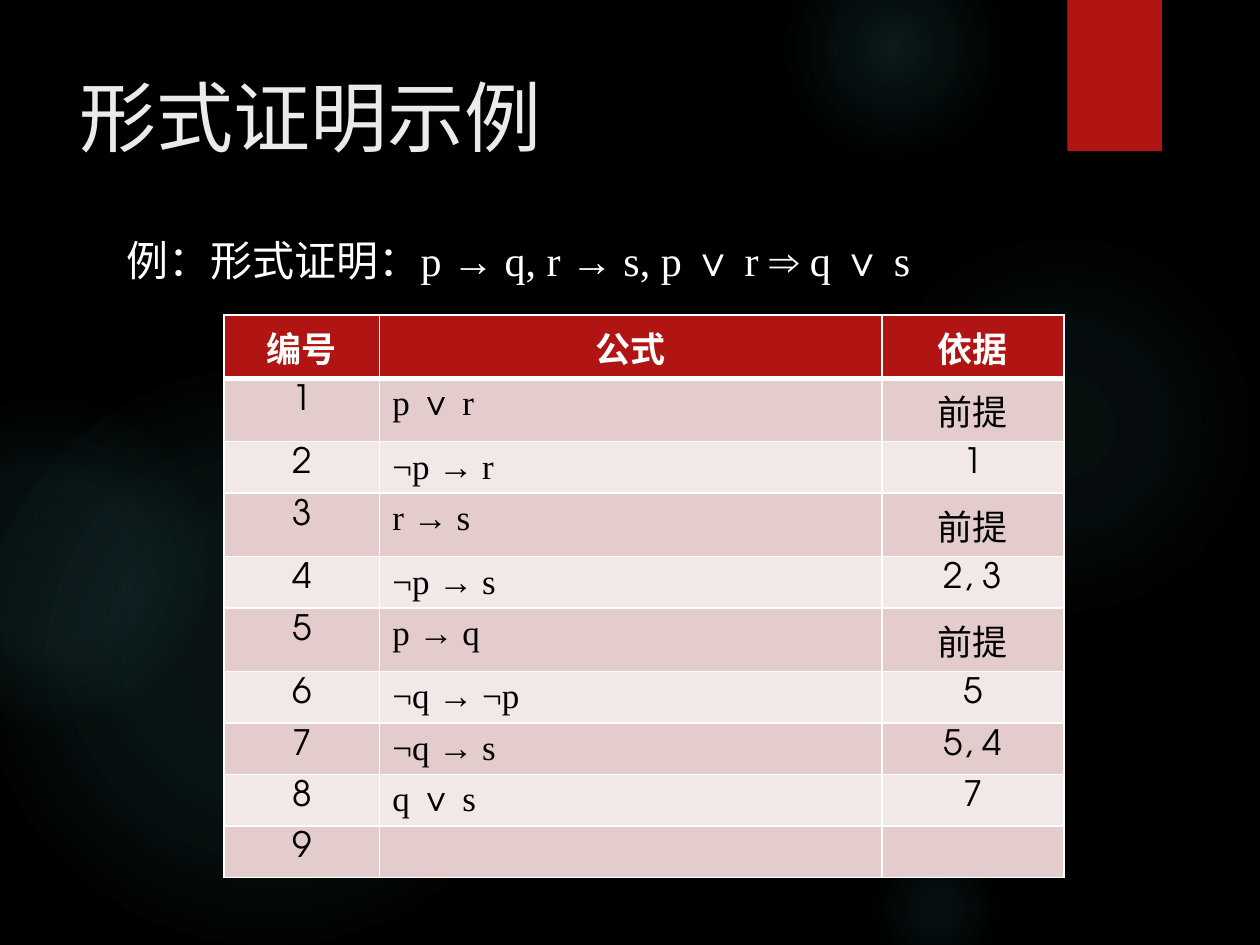
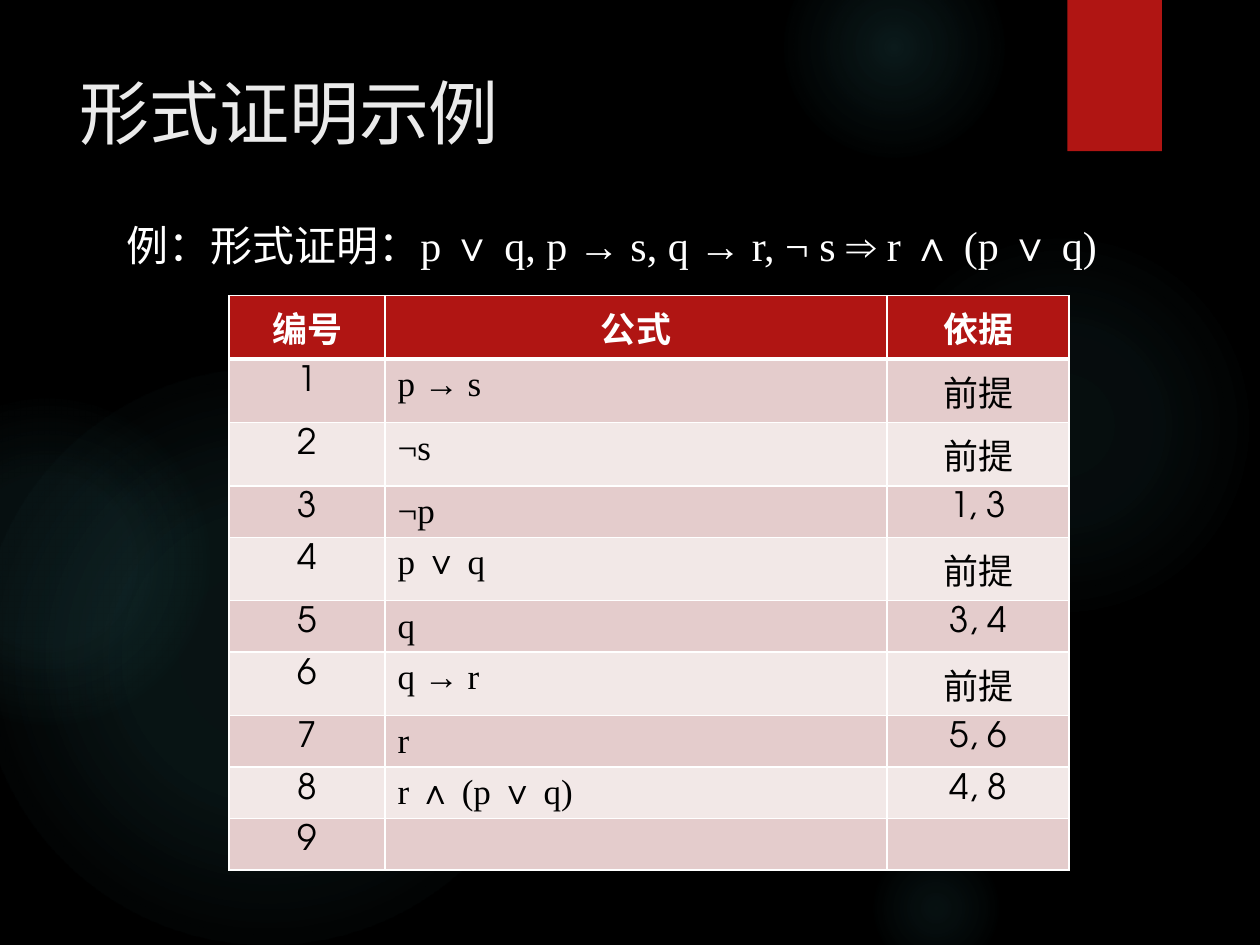
from dataclasses import dataclass

from lxml import etree
from pptx import Presentation
from pptx.dml.color import RGBColor
from pptx.enum.shapes import MSO_SHAPE
from pptx.enum.text import MSO_ANCHOR, PP_ALIGN
from pptx.oxml import parse_xml
from pptx.oxml.ns import nsdecls, qn
from pptx.slide import Slide
from pptx.table import _Cell
from pptx.text.text import _Paragraph
from pptx.util import Pt

ELLIPSE, RECTANGLE = MSO_SHAPE.OVAL, MSO_SHAPE.RECTANGLE
LEFT, CENTER = PP_ALIGN.LEFT, PP_ALIGN.CENTER
TOP = MSO_ANCHOR.TOP

BLACK = RGBColor(0x00, 0x00, 0x00)
WHITE = RGBColor(0xFF, 0xFF, 0xFF)
TITLE_GREY = RGBColor(0xEB, 0xEB, 0xEB)
RED = RGBColor(0xB0, 0x15, 0x13)
GLOW_TEAL = RGBColor(0x50, 0xB9, 0xC1)
BAND_DARK = RGBColor(0xE4, 0xCC, 0xCC)
BAND_LIGHT = RGBColor(0xF2, 0xE8, 0xE7)

SANS = "TeX Gyre Adventor"
SERIF = "Times New Roman"
TITLE = "形式证明示例"
LEAD = "例：形式证明："
HEADINGS = ("编号", "公式", "依据")
PREMISE = "前提"
COLUMN_WIDTHS = (89, 287, 104)
TALL_ROW = 36.2
SHORT_ROW = 29.4
CELL_BOTTOM_MARGIN = 1.8


@dataclass(frozen=True)
class Glow:
    left: float
    top: float
    size: float
    stops: tuple[tuple[int, int], ...]


@dataclass(frozen=True)
class Box:
    left: float
    top: float
    width: float
    height: float


@dataclass(frozen=True)
class Proof:
    title_box: Box
    title_size: float
    claim_box: Box
    claim: str
    table_left: float
    table_top: float
    steps: tuple[tuple[str, str], ...]


GLOWS = (
    Glow(496, 132, 222, ((0, 7), (36, 6), (69, 0))),
    Glow(448, -36, 126, ((0, 14), (36, 7), (73, 0))),
    Glow(496, 480, 78, ((0, 9), (36, 5), (66, 0))),
    Glow(-12, 210, 330, ((0, 11), (36, 10), (75, 0))),
    Glow(-66, 228, 186, ((0, 8), (36, 8), (72, 0))),
)

PROOFS = (
    Proof(
        Box(38.3, 36, 556, 78.5), 44,
        Box(65.2, 130.3, 589, 362), "p → q, r → s, p ∨ r ⇒ q ∨ s",
        128, 180,
        (
            ("p ∨ r", PREMISE),
            ("¬p → r", "1"),
            ("r → s", PREMISE),
            ("¬p → s", "2, 3"),
            ("p → q", PREMISE),
            ("¬q → ¬p", "5"),
            ("¬q → s", "5, 4"),
            ("q ∨ s", "7"),
            ("", ""),
        ),
    ),
    Proof(
        Box(38.3, 36, 556, 110), 40,
        Box(65.2, 121.7, 581, 370), "p ∨ q, p → s, q → r, ¬ s ⇒ r ∧ (p ∨ q)",
        131, 169,
        (
            ("p → s", PREMISE),
            ("¬s", PREMISE),
            ("¬p", "1, 3"),
            ("p ∨ q", PREMISE),
            ("q", "3, 4"),
            ("q → r", PREMISE),
            ("r", "5, 6"),
            ("r ∧ (p ∨ q)", "4, 8"),
            ("", ""),
        ),
    ),
)


def add_text(paragraph: _Paragraph, text: str, *, size: float, color: RGBColor,
             font: str = SANS, bold: bool = False, align: PP_ALIGN = LEFT) -> None:
    paragraph.alignment = align
    if not text:
        return
    run = paragraph.add_run()
    run.text = text
    run.font.size = Pt(size)
    run.font.name = font
    run.font.bold = bold
    run.font.color.rgb = color
    if font == SERIF:
        etree.SubElement(run.font._element, qn("a:ea"), typeface=font)


def add_text_box(slide: Slide, box: Box) -> _Paragraph:
    shape = slide.shapes.add_textbox(Pt(box.left), Pt(box.top), Pt(box.width), Pt(box.height))
    frame = shape.text_frame
    frame.word_wrap = True
    frame.vertical_anchor = TOP
    return frame.paragraphs[0]


def add_glow(slide: Slide, glow: Glow) -> None:
    shape = slide.shapes.add_shape(ELLIPSE, Pt(glow.left), Pt(glow.top), Pt(glow.size), Pt(glow.size))
    shape.shadow.inherit = False
    shape.line.fill.background()
    stops = "".join(
        f'<a:gs pos="{position * 1000}"><a:srgbClr val="{GLOW_TEAL}">'
        f'<a:alpha val="{opacity * 1000}"/></a:srgbClr></a:gs>'
        for position, opacity in glow.stops
    )
    gradient = parse_xml(
        f'<a:gradFill {nsdecls("a")} rotWithShape="1"><a:gsLst>{stops}</a:gsLst>'
        '<a:path path="circle"><a:fillToRect l="50000" t="50000" r="50000" b="50000"/></a:path>'
        "</a:gradFill>"
    )
    shape._element.spPr.find(qn("a:prstGeom")).addnext(gradient)


def add_backdrop(slide: Slide) -> None:
    background = slide.background.fill
    background.solid()
    background.fore_color.rgb = BLACK
    for glow in GLOWS:
        add_glow(slide, glow)
    ribbon = slide.shapes.add_shape(RECTANGLE, Pt(610), Pt(0), Pt(54), Pt(86.4))
    ribbon.shadow.inherit = False
    ribbon.fill.solid()
    ribbon.fill.fore_color.rgb = RED
    ribbon.line.fill.background()


def style_cell(cell: _Cell, color: RGBColor, top_width: float, bottom_width: float) -> None:
    cell.margin_bottom = Pt(CELL_BOTTOM_MARGIN)
    properties = cell._tc.get_or_add_tcPr()
    borders = {"lnL": 1, "lnR": 1, "lnT": top_width, "lnB": bottom_width}
    for tag, width in borders.items():
        properties.append(parse_xml(
            f'<a:{tag} {nsdecls("a")} w="{Pt(width)}"><a:solidFill>'
            f'<a:srgbClr val="{WHITE}"/></a:solidFill></a:{tag}>'
        ))
    cell.fill.solid()
    cell.fill.fore_color.rgb = color


def add_proof_table(slide: Slide, proof: Proof) -> None:
    numbered_steps = [(str(number), *step) for number, step in enumerate(proof.steps, 1)]
    rows = [HEADINGS, *numbered_steps]
    heights = [TALL_ROW if row[-1] in (HEADINGS[-1], PREMISE) else SHORT_ROW for row in rows]
    table = slide.shapes.add_table(
        len(rows), len(HEADINGS), Pt(proof.table_left), Pt(proof.table_top),
        Pt(sum(COLUMN_WIDTHS)), Pt(sum(heights)),
    ).table
    for column, width in zip(table.columns, COLUMN_WIDTHS):
        column.width = Pt(width)
    for row_index, (values, height) in enumerate(zip(rows, heights)):
        table.rows[row_index].height = Pt(height)
        is_header = row_index == 0
        band = BAND_DARK if row_index % 2 else BAND_LIGHT
        for column_index, value in enumerate(values):
            cell = table.cell(row_index, column_index)
            style_cell(cell, RED if is_header else band,
                       3 if row_index == 1 else 1, 3 if is_header else 1)
            is_formula = column_index == 1 and not is_header
            add_text(
                cell.text_frame.paragraphs[0], value, size=20,
                color=WHITE if is_header else BLACK, bold=is_header,
                font=SERIF if is_formula else SANS,
                align=LEFT if is_formula else CENTER,
            )


def add_proof_slide(slide: Slide, proof: Proof) -> None:
    add_backdrop(slide)
    add_text(add_text_box(slide, proof.title_box), TITLE, size=proof.title_size, color=TITLE_GREY)
    claim = add_text_box(slide, proof.claim_box)
    add_text(claim, LEAD, size=24, color=WHITE)
    add_text(claim, proof.claim, size=24, color=WHITE, font=SERIF)
    add_proof_table(slide, proof)


def main() -> None:
    presentation = Presentation()
    presentation.slide_width = Pt(720)
    presentation.slide_height = Pt(540)
    blank_layout = presentation.slide_layouts[6]
    for proof in PROOFS:
        add_proof_slide(presentation.slides.add_slide(blank_layout), proof)
    presentation.save("out.pptx")


if __name__ == "__main__":
    main()
